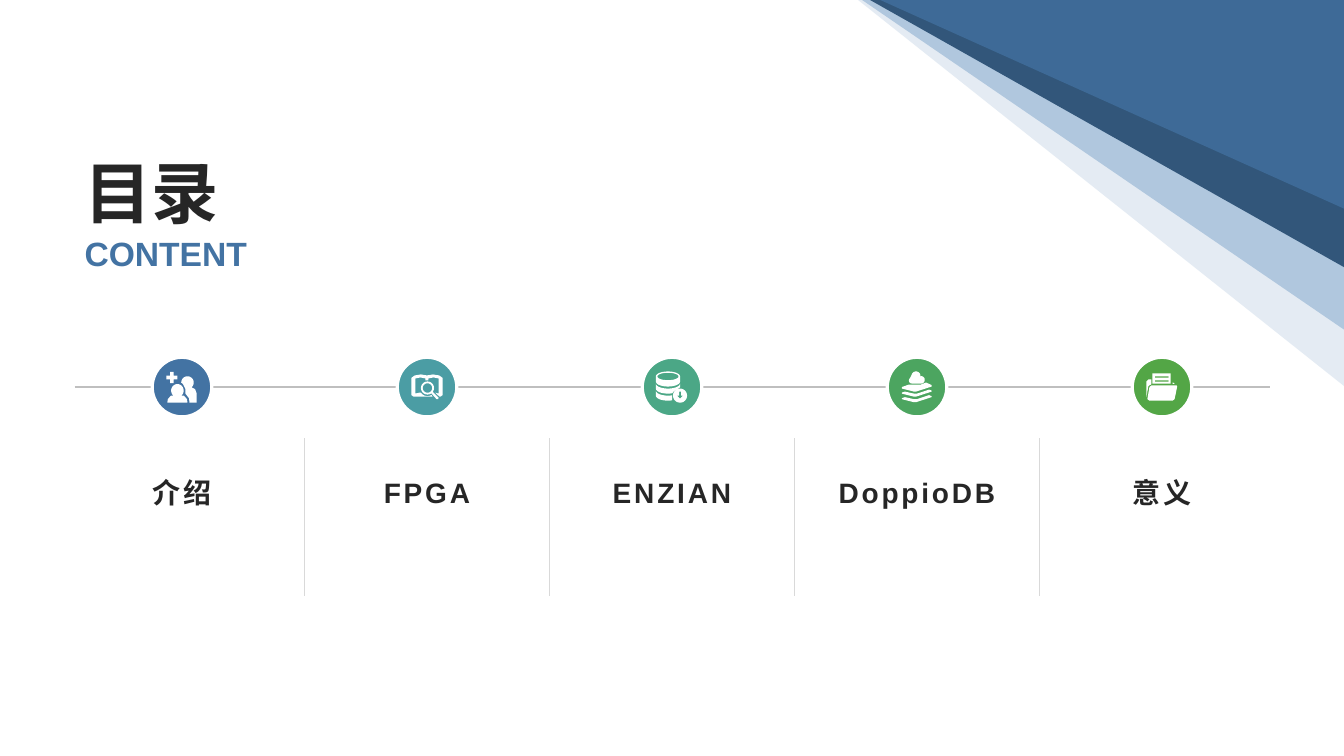
"""Build a contents slide with five icon stops along a timeline."""
from math import cos, radians, sin

from lxml.etree import SubElement
from pptx import Presentation
from pptx.dml.color import RGBColor
from pptx.enum.shapes import MSO_CONNECTOR, MSO_SHAPE
from pptx.enum.text import MSO_ANCHOR as ANCHOR, MSO_AUTO_SIZE, PP_ALIGN as ALIGN
from pptx.oxml.ns import qn
from pptx.util import Inches, Pt

BLUE, INK, WHITE = "4373A3", "262626", "FFFFFF"
WIDTH, HEIGHT = 13.33, 7.5


def arc(cx, cy, rx, ry, start=0, end=360):
    """Return points along an elliptical arc, angles running clockwise."""
    steps = 24
    angles = [radians(start + (end - start) * n / steps) for n in range(steps + 1)]
    return [(cx + rx * cos(a), cy + ry * sin(a)) for a in angles]


def box(left, top, right, bottom):
    """Return the corners of a rectangle."""
    return [(left, top), (right, top), (right, bottom), (left, bottom)]


def shifted(points, dy):
    """Move points down by dy."""
    return [(x, y + dy) for x, y in points]


CHEVRON = [(-12, 4.5), (-15, 5.5), (-15, 6.5), (-3, 9.5), (-1, 9.5), (14.5, 4.5),
           (14.5, 3.5), (12, 2.5), (0, 6.5), (-3, 6.5)]

PEOPLE = [
    arc(-4.5, 3.5, 6.2, 6.5, 130, 410)
    + [(2, 8.5), (5, 12), (5.5, 15.5), (-14.5, 15.5), (-14, 12), (-11, 8.5)],
    arc(5.5, -4.5, 6.2, 6.2, 180, 410)
    + [(13, 2), (14.5, 6), (14.5, 15.5), (7.5, 15.5), (7, 11), (3.5, 6.5),
       (3.5, 2), (1, -3)],
    [(-11.8, -15), (-8.2, -15), (-8.2, -11.3), (-4.5, -11.3), (-4.5, -7.7),
     (-8.2, -7.7), (-8.2, -4), (-11.8, -4), (-11.8, -7.7), (-15.5, -7.7),
     (-15.5, -11.3), (-11.8, -11.3)],
]
BOOK = [
    [(-15.5, -9), (-13.5, -10.5), (-12, -11.5), (-6, -12.5), (0, -11.5),
     (6, -12.5), (12, -11.5), (13.5, -10.5), (15.5, -9), (15.5, 8), (13.5, 9.5),
     (12.3, 9.5), (8.3, 5.6), (11.5, 6.5), (11.5, -8.5), (6.5, -9.5),
     (1.5, -8.5), (1.5, -6.5), (-1.5, -6.5), (-1.5, -8.5), (-6.5, -9.5),
     (-11.5, -8.5), (-11.5, 6.5), (-7, 5.5)]
    + arc(0.5, 1, 8, 8, 145, 60) + [(5.5, 9.5), (-13.5, 9.5), (-15.5, 8)],
    arc(0.5, 1, 6.5, 6.5),
    arc(0.5, 1, 4.7, 4.7),
    [(4.5, 6.5), (6, 5), (11.5, 10.5), (11.3, 12), (9.5, 12)],
]
DATABASE = [
    arc(-4, -10.5, 12, 5, 180, 360) + arc(-4, -5.5, 12, 5, 0, 180),
    arc(-4, -10.5, 10.5, 3.7),
    arc(-4, -3.5, 12, 5, 180, 0) + [(8, 0.3), (3, 3)] + arc(-4, 1.5, 12, 5, 70, 180),
    arc(-4, 3.5, 12, 5, 180, 70) + arc(-4, 8.5, 12, 5, 70, 180),
    arc(8, 8.5, 7, 7),
    [(7, 4.5), (9, 4.5), (9, 8.5), (11, 8.5), (8, 11.5), (5, 8.5), (7, 8.5)],
]
LAYERS = [
    arc(-5, -6.5, 3, 3, 90, 230) + arc(-1, -11, 4.5, 4.5, 190, 370)
    + arc(4, -7.2, 3.7, 3.7, 270, 450),
    [(-8, -2.5), (-15, 0), (-15, 1.5), (-3, 4.5), (-1, 4.5), (14.5, -0.5),
     (14.5, -2), (9, -4.5), (4, -2.5)],
    CHEVRON,
    shifted(CHEVRON, 5.5),
]
FOLDER = [
    [(-10.5, -1.5), (14.5, -1.5), (15, -0.5), (12.5, 12), (10.5, 13.5),
     (-12.5, 13.5), (-14.5, 12), (-12.5, 0)],
    [(-13.5, -1), (-15.5, 10), (-15.5, -5.5), (-13.5, -7.5), (-10.5, -7.5),
     (-10.5, -2.8)],
    box(-9.5, -13.5, 8.5, -3.5),
    box(-7, -10.5, 6.5, -9.3),
    box(-7, -6.5, 6.5, -5.3),
    [(10.5, -4.5), (12, -4), (12.5, -3), (10.5, -3)],
]

TOPICS = [
    ("介绍", BLUE, PEOPLE),
    ("FPGA", "4B9DA4", BOOK),
    ("ENZIAN", "4BA786", DATABASE),
    ("DoppioDB", "4CA560", LAYERS),
    ("意义", "53A646", FOLDER),
]
RAYS = [(8.51, 3.83, "B0C7DE", 34), (8.55, 3.27, "B0C7DE", 100),
        (8.63, 2.65, "32567A", 100), (8.73, 2.07, BLUE, 71)]

LEFT, PITCH, LABEL_WIDTH = 0.74, 2.43, 2.13
AXIS, DISC = 3.84, 0.59


def color(code):
    return RGBColor.from_string(code)


def paint(shape, fill, opacity=100, line=None):
    """Fill a shape and give it a plain outline or none."""
    shape.shadow.inherit = False
    shape.fill.solid()
    shape.fill.fore_color.rgb = color(fill)
    if opacity < 100:
        tint = shape.fill._xPr.find(".//" + qn("a:srgbClr"))
        SubElement(tint, qn("a:alpha"), val=str(opacity * 1000))
    if line:
        shape.line.color.rgb = color(line)
        shape.line.width = Pt(2.25)
    else:
        shape.line.fill.background()


def draw_outline(slide, contours, fill, opacity=100):
    """Draw closed contours, given in inches, as one freeform."""
    contours = [[(Inches(x), Inches(y)) for x, y in points] for points in contours]
    builder = slide.shapes.build_freeform(*contours[0][0], scale=1.0)
    for number, points in enumerate(contours):
        if number:
            builder.move_to(*points[0])
        builder.add_line_segments(points[1:], close=True)
    paint(builder.convert_to_shape(), fill, opacity)


def draw_line(slide, start, end, code, weight):
    rule = slide.shapes.add_connector(
        MSO_CONNECTOR.STRAIGHT, *map(Inches, start), *map(Inches, end))
    rule.line.color.rgb = color(code)
    rule.line.width = Pt(weight)
    SubElement(rule._element.spPr, qn("a:effectLst"))


def write(holder, text, size, code=INK, anchor=ANCHOR.MIDDLE, align=ALIGN.LEFT,
          top=0.05, bottom=0, spacing=1.0, tracking=0):
    """Put formatted text in a text box or placeholder."""
    frame = holder.text_frame
    frame.word_wrap, frame.auto_size = True, MSO_AUTO_SIZE.NONE
    frame.vertical_anchor = anchor
    frame.margin_left = frame.margin_right = Inches(0.1)
    frame.margin_top, frame.margin_bottom = Inches(top), Inches(bottom)
    line = frame.paragraphs[0]
    line.alignment, line.line_spacing = align, spacing
    run = line.add_run()
    run.text = text
    run.font.name, run.font.size, run.font.bold = "Arial", Pt(size), True
    run.font.color.rgb = color(code)
    if tracking:
        run.font._element.set("spc", str(tracking * 100))


def main():
    deck = Presentation()
    deck.slide_width, deck.slide_height = Inches(WIDTH), Inches(HEIGHT)
    slide = deck.slides.add_slide(deck.slide_layouts[5])

    for start, depth, code, opacity in RAYS:
        draw_outline(slide, [[(start, 0), (WIDTH, 0), (WIDTH, depth)]], code, opacity)

    heading = slide.shapes.title
    heading.left, heading.top = Inches(LEFT), Inches(1.18)
    heading.width, heading.height = Inches(2.46), Inches(1.12)
    write(heading, "目录", 48, anchor=ANCHOR.BOTTOM)
    subtitle = slide.shapes.add_textbox(*map(Inches, (LEFT, 2.31, 2.1, 0.57)))
    write(subtitle, "CONTENT", 24, BLUE, anchor=ANCHOR.TOP, top=0, bottom=0.05)

    draw_line(slide, (LEFT, AXIS), (12.6, AXIS), "BFBFBF", 1.5)
    for column, (topic, code, icon) in enumerate(TOPICS):
        left = LEFT + PITCH * column
        center = left + LABEL_WIDTH / 2
        disc = slide.shapes.add_shape(MSO_SHAPE.OVAL, *map(
            Inches, (center - DISC / 2, AXIS - DISC / 2, DISC, DISC)))
        paint(disc, code, line=WHITE)
        draw_outline(slide, [[(center + x / 100, AXIS + y / 100) for x, y in points]
                             for points in icon], WHITE)
        label = slide.shapes.add_textbox(*map(Inches, (left, 4.62, LABEL_WIDTH, 0.45)))
        write(label, topic, 20, align=ALIGN.CENTER, spacing=1.1, tracking=2)
        if column:
            divider = left - (PITCH - LABEL_WIDTH) / 2
            draw_line(slide, (divider, 4.35), (divider, 5.91), "D9D9D9", 0.25)

    deck.save("out.pptx")


if __name__ == "__main__":
    main()
